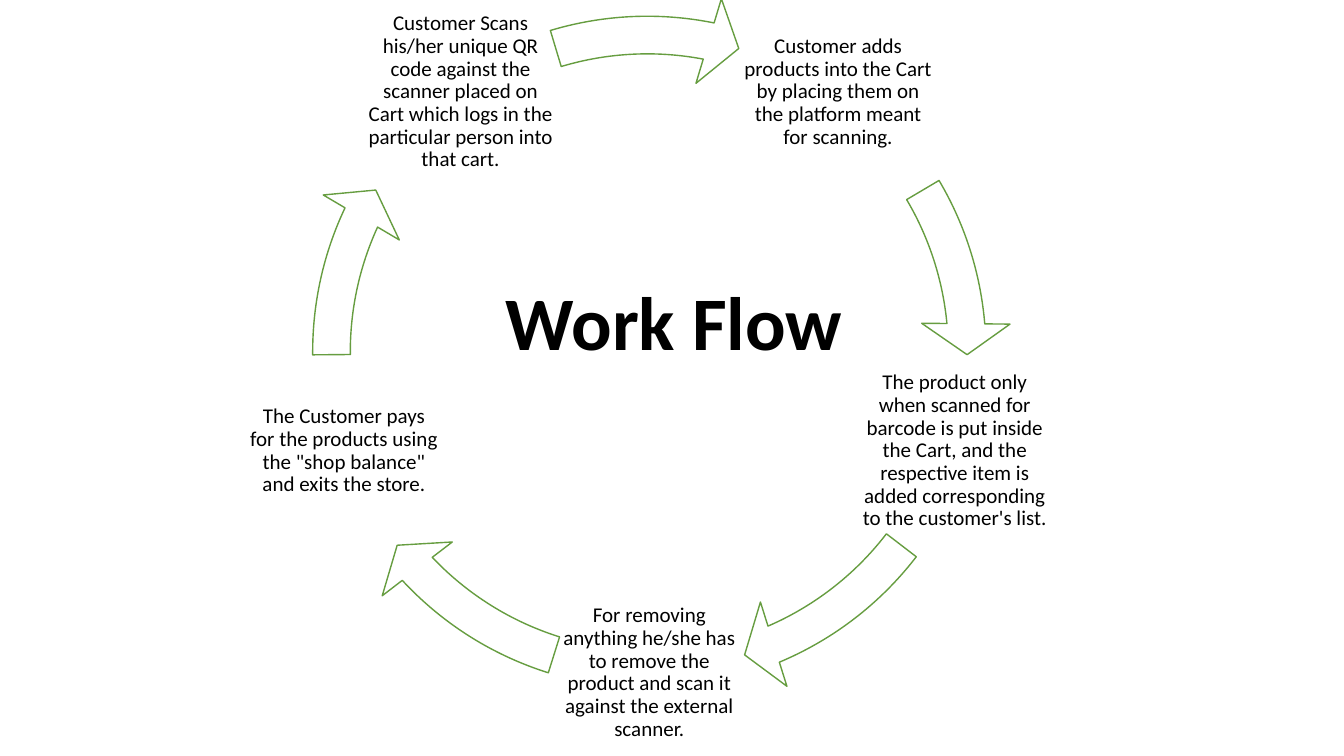
"""Build the shopping cart work flow slide as a five-step cycle."""
from dataclasses import dataclass
from math import cos, radians, sin

from pptx import Presentation
from pptx.dml.color import RGBColor
from pptx.enum.shapes import MSO_SHAPE
from pptx.enum.text import MSO_ANCHOR, PP_ALIGN
from pptx.slide import Slide
from pptx.util import Inches, Pt

BLACK = RGBColor(0x00, 0x00, 0x00)
WHITE = RGBColor(0xFF, 0xFF, 0xFF)
GREEN = RGBColor(0x66, 0x9D, 0x40)
FONT = "Calibri"
CENTER_X, CENTER_Y = 6.44, 3.49
STEP_RADIUS, STEP_SIZE = 3.185, 1.91
RING_SIZE = 7.18
FIRST_ANGLE = -54
DEGREE = 0.6


@dataclass(frozen=True)
class Step:
    """A step of the cycle and the angles of the arrow that leaves it."""

    wording: str
    arrow_start: float
    arrow_end: float
    shift_x: float = 0
    shift_y: float = 0


STEPS = [
    Step("Customer adds products into the Cart by placing them on the platform "
         "meant for scanning.", 329.4, 354.93),
    Step("The product only when scanned for barcode is put inside the Cart, and the "
         "respective item is added corresponding to the customer's list.", 37.52, 66.96),
    Step("For removing anything he/she has to remove the product and scan it "
         "against the external scanner.", 107.46, 136.9),
    Step("The Customer pays for the products using the \"shop balance\" and exits "
         "the store.", 179.48, 205.01),
    Step("Customer Scans his/her unique QR code against the scanner placed on Cart "
         "which logs in the particular person into that cart.", 253.27, 281.14,
         -0.02, 0.01),
]


def add_text(slide: Slide, wording: str, *, left: float, top: float, width: float,
             height: float, size: float, bold: bool = False, inset: float = 0.02,
             align: PP_ALIGN = PP_ALIGN.CENTER) -> None:
    """Add a wrapped, vertically centred text box."""
    frame = slide.shapes.add_textbox(
        Inches(left), Inches(top), Inches(width), Inches(height)).text_frame
    frame.word_wrap = True
    frame.vertical_anchor = MSO_ANCHOR.MIDDLE
    frame.margin_left = frame.margin_right = Inches(inset)
    frame.margin_top = frame.margin_bottom = Inches(inset)
    paragraph = frame.paragraphs[0]
    paragraph.alignment = align
    paragraph.line_spacing = 0.9
    run = paragraph.add_run()
    run.text = wording
    run.font.name = FONT
    run.font.size = Pt(size)
    run.font.bold = bold
    run.font.color.rgb = BLACK


def add_arrow(slide: Slide, step: Step) -> None:
    """Add the curved arrow that leads from a step to the next."""
    arrow = slide.shapes.add_shape(
        MSO_SHAPE.CIRCULAR_ARROW,
        Inches(CENTER_X - RING_SIZE / 2 + step.shift_x),
        Inches(CENTER_Y - RING_SIZE / 2 + step.shift_y),
        Inches(RING_SIZE), Inches(RING_SIZE))
    settings = (0.052, 5.59 * DEGREE, step.arrow_end * DEGREE,
                step.arrow_start * DEGREE, 0.061)
    for index, setting in enumerate(settings):
        arrow.adjustments[index] = setting
    arrow.shadow.inherit = False
    arrow.fill.solid()
    arrow.fill.fore_color.rgb = WHITE
    arrow.line.color.rgb = GREEN
    arrow.line.width = Pt(1)


def add_cycle(slide: Slide, steps: list[Step]) -> None:
    """Place the steps evenly around the ring, each with its arrow."""
    for index, step in enumerate(steps):
        angle = radians(FIRST_ANGLE + index * 360 / len(steps))
        add_text(slide, step.wording,
                 left=CENTER_X + STEP_RADIUS * cos(angle) - STEP_SIZE / 2,
                 top=CENTER_Y + STEP_RADIUS * sin(angle) - STEP_SIZE / 2,
                 width=STEP_SIZE, height=STEP_SIZE, size=15)
        add_arrow(slide, step)


def main() -> None:
    """Build and save the slide."""
    presentation = Presentation()
    presentation.slide_width = Inches(13.33)
    presentation.slide_height = Inches(7.5)
    slide = presentation.slides.add_slide(presentation.slide_layouts[6])
    add_text(slide, "Work Flow", left=4.92, top=2.13, width=4, height=2.21,
             size=54, bold=True, inset=0.1, align=PP_ALIGN.LEFT)
    add_cycle(slide, STEPS)
    presentation.save("out.pptx")


main()
